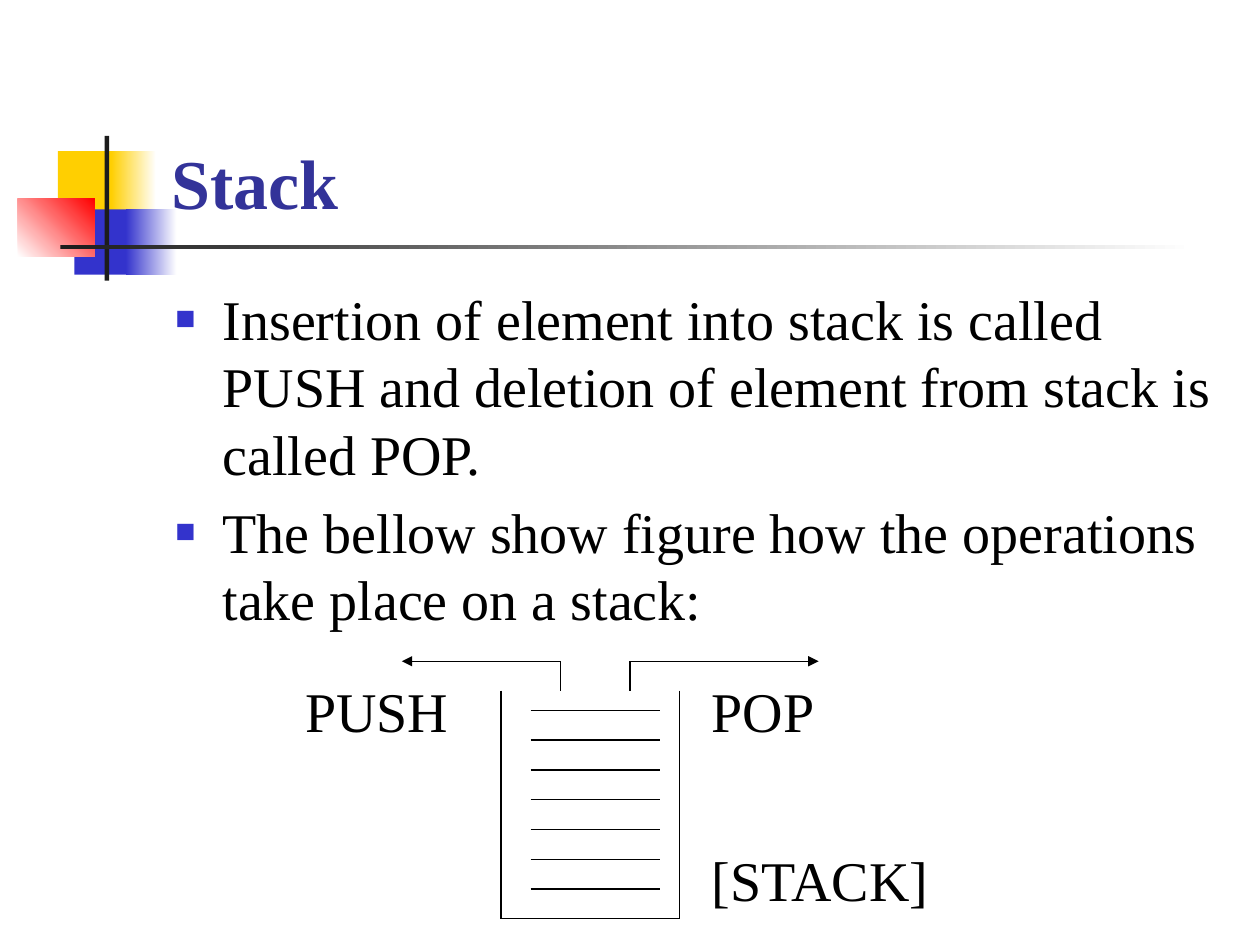
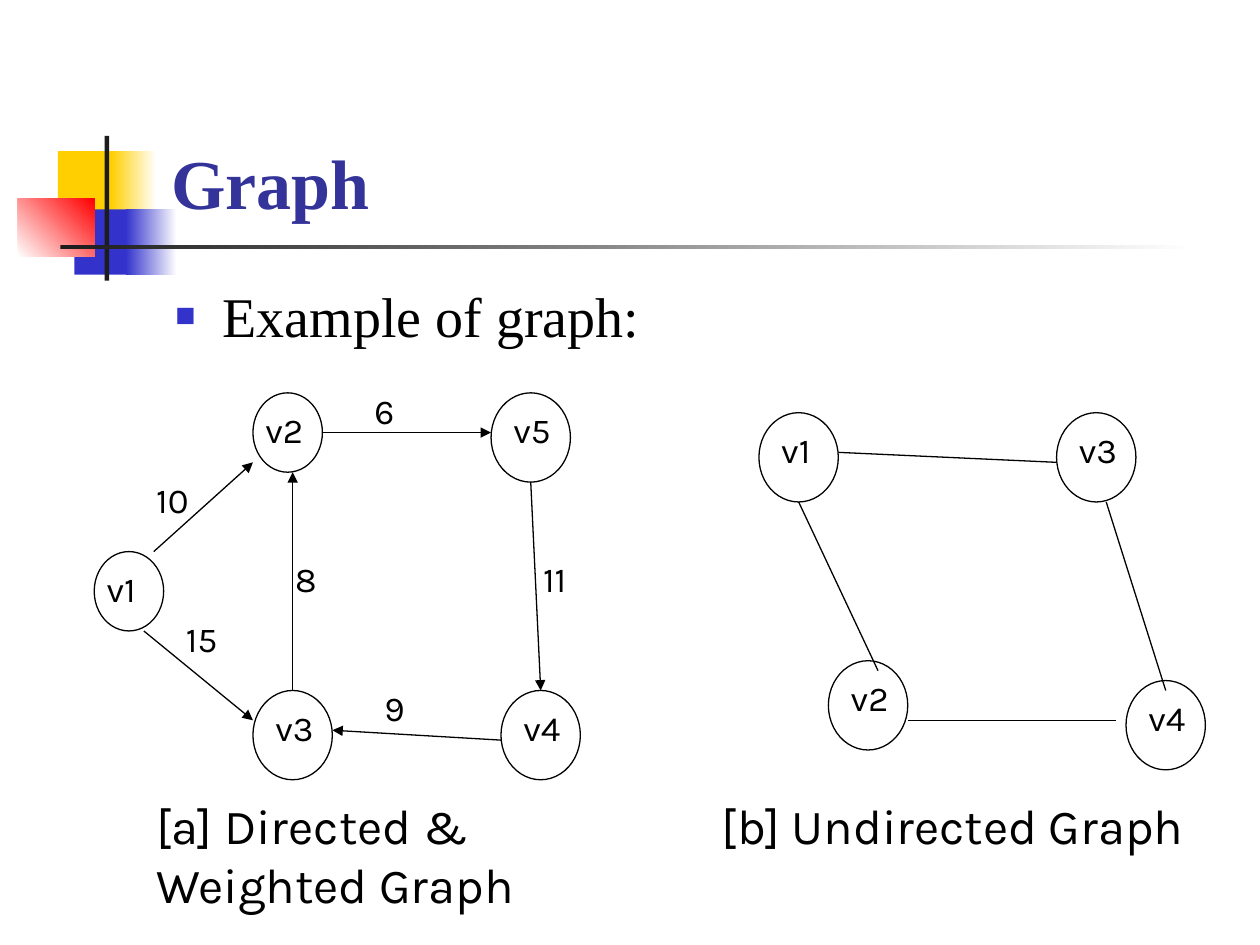
from lxml import etree
from pptx import Presentation
from pptx import util as u
from pptx.dml import color
from pptx.enum import shapes, text
from pptx.oxml import ns

COLORS = {
    "white": "FFFFFF",
    "black": "000000",
    "ink": "1C1C1C",
    "title": "333399",
    "yellow": "FFCF01",
    "blue": "3333CC",
    "red": "FF0000",
}
SERIF = "Times New Roman"
SANS = "Karla"

BAND = [
    (1.17, 3.05, 1.22, 1.32, ["yellow"], 0),
    (2.24, 3.05, 0.91, 1.32, ["yellow", "white"], 0),
    (1.5, 4.22, 1.17, 1.32, ["blue"], 0),
    (2.54, 4.22, 1.02, 1.32, ["blue", "white"], 0),
    (0.36, 4.01, 1.55, 1.17, ["white", "red"], 45),
    (2.11, 2.74, 0.09, 2.92, ["ink"], 0),
    (1.22, 4.94, 22.86, 0.09, ["ink", "white"], 0),
]


def rgb(name):
    return color.RGBColor.from_string(COLORS[name])


def place(box, *lengths):
    box.left, box.top, box.width, box.height = map(u.Cm, lengths)


class SlideWriter:
    def __init__(self):
        self.deck = Presentation()
        self.deck.slide_width = u.Cm(25.4)
        self.deck.slide_height = u.Cm(19.05)
        self.layout = self.deck.slide_layouts[1]
        self.slide = None

    def draw_band(self):
        tree = self.layout.shapes.element
        for index, (left, top, width, height, fills, angle) in enumerate(BAND):
            block = self.shape(shapes.MSO_SHAPE.RECTANGLE, left, top, width, height)
            block.line.fill.background()
            if len(fills) == 1:
                block.fill.solid()
                block.fill.fore_color.rgb = rgb(fills[0])
            else:
                block.fill.gradient()
                block.fill.gradient_angle = angle
                for stop, name, position in zip(block.fill.gradient_stops, fills, (0, 1)):
                    stop.color.rgb = rgb(name)
                    stop.position = position
            tree.insert(2 + index, block.element)

    def add_slide(self, heading, points, body_top):
        first = self.slide is None
        self.slide = self.deck.slides.add_slide(self.layout)
        if first:
            self.draw_band()
        title = self.slide.shapes.title
        place(title, 3.2, 0.58, 21.64, 4.06)
        frame = title.text_frame
        frame.text = heading
        frame.vertical_anchor = text.MSO_ANCHOR.BOTTOM
        frame.auto_size = text.MSO_AUTO_SIZE.NONE
        frame.paragraphs[0].alignment = text.PP_ALIGN.LEFT
        self.style(frame.paragraphs[0], 40, SERIF, "title", True)

        body = self.slide.placeholders[1]
        place(body, 3.28, body_top, 21.59, 11.43)
        frame = body.text_frame
        frame.text = "\n".join(points)
        frame.auto_size = text.MSO_AUTO_SIZE.NONE
        for para in frame.paragraphs:
            self.bullet(para)
            self.style(para, 32, SERIF)

    def style(self, para, size, face, name="black", bold=False):
        para.font.size = u.Pt(size)
        para.font.name = face
        para.font.bold = bold
        para.font.color.rgb = rgb(name)

    def bullet(self, para):
        props = para._p.get_or_add_pPr()
        tint = etree.SubElement(props, ns.qn("a:buClr"))
        etree.SubElement(tint, ns.qn("a:srgbClr"), val=COLORS["blue"])
        etree.SubElement(props, ns.qn("a:buSzPct"), val="60000")
        etree.SubElement(props, ns.qn("a:buFont"), typeface=SERIF)
        etree.SubElement(props, ns.qn("a:buChar"), char="■")

    def shape(self, kind, *lengths):
        shape = self.slide.shapes.add_shape(kind, *map(u.Cm, lengths))
        shape.shadow.inherit = False
        return shape

    def label(self, words, left, top, width=1.4, height=1.09, size=20, face=SANS):
        box = self.slide.shapes.add_textbox(*map(u.Cm, (left, top, width, height)))
        frame = box.text_frame
        frame.word_wrap = True
        frame.auto_size = text.MSO_AUTO_SIZE.SHAPE_TO_FIT_TEXT
        frame.text = words
        self.style(frame.paragraphs[0], size, face)

    def node(self, name, left, top, width=1.6, height=1.8):
        circle = self.shape(shapes.MSO_SHAPE.OVAL, left, top, width, height)
        circle.fill.solid()
        circle.fill.fore_color.rgb = rgb("white")
        circle.line.color.rgb = rgb("black")
        circle.line.width = u.Pt(0.75)
        self.label(name, left + width - 1.4, top + 0.2)

    def line(self, start, end, arrow=False):
        line = self.slide.shapes.add_connector(
            shapes.MSO_CONNECTOR.STRAIGHT, *map(u.Cm, start + end))
        line.line.color.rgb = rgb("black")
        line.line.width = u.Pt(0.75)
        props = line.element.spPr
        if arrow:
            etree.SubElement(props.find(ns.qn("a:ln")), ns.qn("a:tailEnd"), type="triangle")
        etree.SubElement(props, ns.qn("a:effectLst"))


def build_stack(writer):
    writer.add_slide("Stack", [
        "Insertion of element into stack is called PUSH and deletion of element "
        "from stack is called POP.",
        "The bellow show figure how the operations take place on a stack:",
    ], 5.61)

    left, right, top, bottom = 10.1, 13.7, 13.92, 18.52
    for wall in (left, right):
        writer.line((wall, top), (wall, bottom))
    writer.line((left, bottom), (right, bottom))
    for index in range(7):
        level = top + 0.4 + 0.6 * index
        writer.line((left + 0.6, level), (right - 0.4, level))

    arrow_level = 13.33
    for stem, tip in ((11.3, 8.1), (12.7, 16.5)):
        writer.line((stem, top), (stem, arrow_level))
        writer.line((stem, arrow_level), (tip, arrow_level), arrow=True)

    for words, x, y, width in (
        ("PUSH", 5.9, 13.52, 4),
        ("POP", 14.1, 13.52, 3.4),
        ("[STACK]", 14.1, 16.92, 6.4),
    ):
        writer.label(words, x, y, width, 1.6, 32, SERIF)


def build_graph(writer):
    writer.add_slide("Graph", ["Example of graph:"], 5.54)

    directed_nodes = [
        ("v2", 5.1, 7.92, 1.4, 1.6),
        ("v1", 1.9, 11.12, 1.4, 1.6),
        ("v5", 9.9, 7.92),
        ("v3", 5.1, 13.92),
        ("v4", 10.1, 13.92),
    ]
    undirected_nodes = [
        ("v1", 15.3, 8.32),
        ("v2", 16.7, 13.32),
        ("v4", 22.7, 13.72),
        ("v3", 21.3, 8.32),
    ]
    weighted_edges = [
        ("10", (3.1, 11.12), (5.1, 9.32), (2.9, 9.52)),
        ("15", (2.9, 12.72), (5.1, 14.52), (3.5, 12.32)),
        ("8", (5.9, 13.92), (5.9, 9.52), (5.7, 11.12)),
        ("6", (6.5, 8.72), (9.9, 8.72), (7.3, 7.72)),
        ("11", (10.7, 9.72), (10.9, 13.92), (10.7, 11.12)),
        ("9", (10.1, 14.92), (6.7, 14.72), (7.5, 13.72)),
    ]
    plain_edges = [
        ((16.9, 9.12), (21.3, 9.32)),
        ((18.3, 14.52), (22.5, 14.52)),
        ((16.1, 10.12), (17.7, 13.52)),
        ((22.3, 10.12), (23.5, 13.92)),
    ]
    for node in directed_nodes + undirected_nodes:
        writer.node(*node)
    for weight, start, end, spot in weighted_edges:
        writer.line(start, end, arrow=True)
        writer.label(weight, *spot)
    for start, end in plain_edges:
        writer.line(start, end)

    writer.label("[a] Directed & Weighted Graph", 2.9, 15.92, 10.4, 2.62, 28)
    writer.label("[b] Undirected Graph", 14.3, 15.92, 10.4, 1.45, 28)


def main():
    writer = SlideWriter()
    build_stack(writer)
    build_graph(writer)
    writer.deck.save("out.pptx")


if __name__ == "__main__":
    main()
